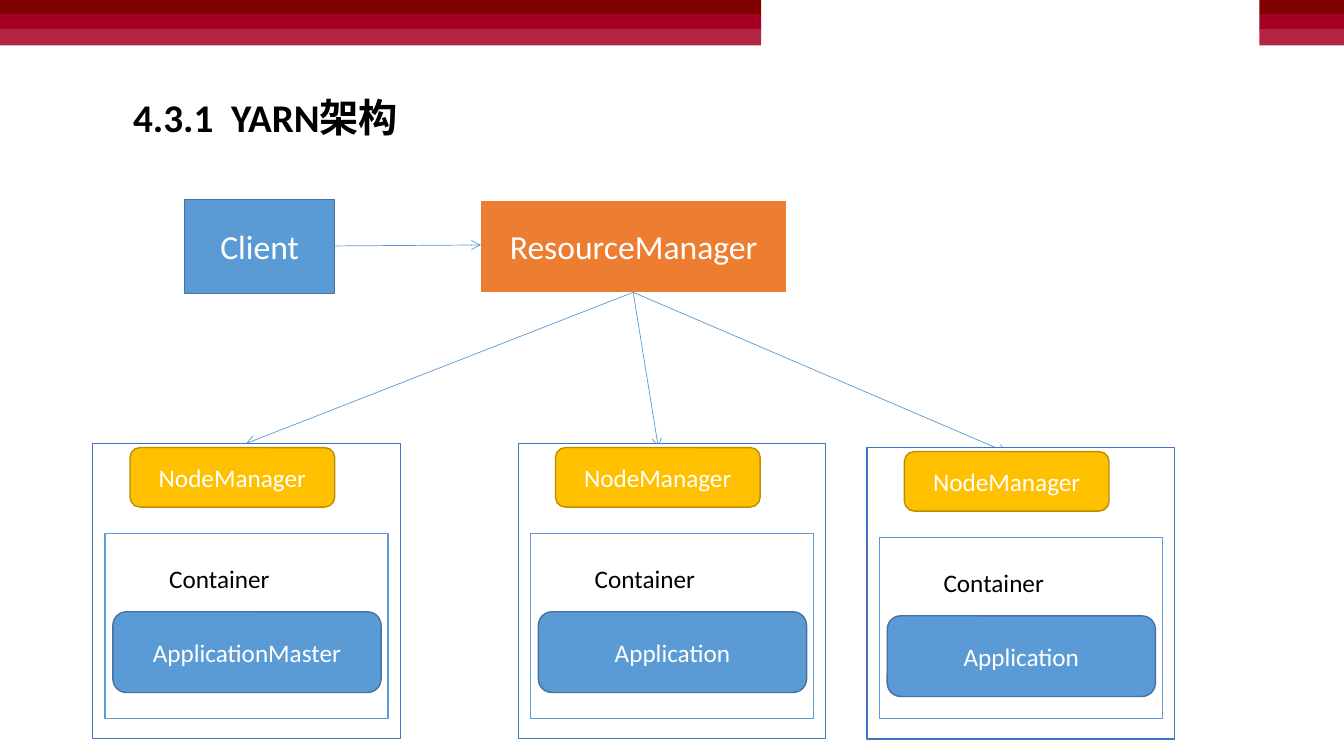
from lxml import etree
from pptx import Presentation
from pptx.dml.color import RGBColor
from pptx.enum.shapes import MSO_CONNECTOR, MSO_SHAPE
from pptx.enum.text import MSO_ANCHOR, MSO_AUTO_SIZE, PP_ALIGN
from pptx.oxml.ns import qn
from pptx.util import Inches, Pt

RECT, ROUND = MSO_SHAPE.RECTANGLE, MSO_SHAPE.ROUNDED_RECTANGLE
LINE = MSO_CONNECTOR.STRAIGHT
LEFT, MID = PP_ALIGN.LEFT, PP_ALIGN.CENTER
TOP, CENTER = MSO_ANCHOR.TOP, MSO_ANCHOR.MIDDLE
FIXED = MSO_AUTO_SIZE.NONE
WHITE, BLACK, BLUE, NAVY = "FFFFFF", "000000", "5B9BD5", "43739E"

deck = Presentation()
deck.slide_width, deck.slide_height = Inches(13.33), Inches(7.5)
slide = deck.slides.add_slide(deck.slide_layouts[5])
shapes = slide.shapes


def write(shape, text, size=18, color=WHITE, bold=False, align=MID, anchor=CENTER):
    """Put one formatted line of text into a shape."""
    frame = shape.text_frame
    frame.word_wrap = True
    frame.auto_size = FIXED
    frame.vertical_anchor = anchor
    para = frame.paragraphs[0]
    para.alignment = align
    run = para.add_run()
    run.text = text
    font = run.font
    font.name, font.size, font.bold = "Calibri", Pt(size), bold
    font.color.rgb = RGBColor.from_string(color)


def box(kind, left, top, width, height, fill, line=None, weight=1):
    """Add a filled shape, outlined if a line colour is given."""
    shape = shapes.add_shape(kind, *map(Inches, (left, top, width, height)))
    shape.shadow.inherit = False
    shape.fill.solid()
    shape.fill.fore_color.rgb = RGBColor.from_string(fill)
    if line:
        shape.line.color.rgb = RGBColor.from_string(line)
        shape.line.width = Pt(weight)
    else:
        shape.line.fill.background()
    return shape


# Header bands
for left, width in ((0, 7.55), (12.49, 0.84)):
    for top, height, color in ((0, 0.14, "800000"), (0.14, 0.16, "A50021"),
                               (0.29, 0.16, "B22642")):
        box(RECT, left, top, width, height, color)

# Title
title = shapes.title
title.left, title.top = Inches(1.22), Inches(0.88)
title.width, title.height = Inches(6.93), Inches(0.57)
write(title, "4.3.1  YARN架构", size=28, color=BLACK, bold=True,
      align=LEFT, anchor=TOP)

# Client and resource manager
client = box(RECT, 1.83, 1.98, 1.49, 0.93, BLUE, NAVY)
write(client, "Client", size=24)
manager = box(RECT, 4.76, 1.98, 3.05, 0.93, "ED7D31", WHITE, 1.5)
write(manager, "ResourceManager", size=24)

# Arrows, drawn before the nodes that cover their tips
hub = (6.28, 2.9)
for start, end in (((3.32, 2.44), (4.77, 2.43)), (hub, (2.44, 4.4)),
                   (hub, (6.53, 4.44)), (hub, (9.99, 4.49))):
    arrow = shapes.add_connector(LINE, *map(Inches, start + end))
    arrow.line.color.rgb = RGBColor.from_string(BLUE)
    arrow.line.width = Pt(0.5)
    props = arrow.line._get_or_add_ln()
    etree.SubElement(props, qn("a:tailEnd"), type="arrow")
    etree.SubElement(props.getparent(), qn("a:effectLst"))

# Nodes share one inner layout and one bottom edge
floor = 7.33
for left, top, job in ((0.92, 4.4, "ApplicationMaster"),
                       (5.14, 4.4, "Application"),
                       (8.6, 4.44, "Application")):
    box(RECT, left, top, 3.05, floor - top, WHITE, "4472C4")
    agent = box(ROUND, left + 0.37, top + 0.04, 2.03, 0.59, "FFC000", "BD8E00")
    write(agent, "NodeManager")
    inner = top + 0.89
    box(RECT, left + 0.12, inner, 2.81, floor - 0.2 - inner, WHITE, BLUE)
    label = shapes.add_textbox(Inches(left + 0.66), Inches(top + 1.14),
                               Inches(1.35), Inches(0.4))
    write(label, "Container", color=BLACK, align=LEFT, anchor=TOP)
    task = box(ROUND, left + 0.2, top + 1.67, 2.66, 0.8, BLUE, NAVY)
    write(task, job)

deck.save("out.pptx")
